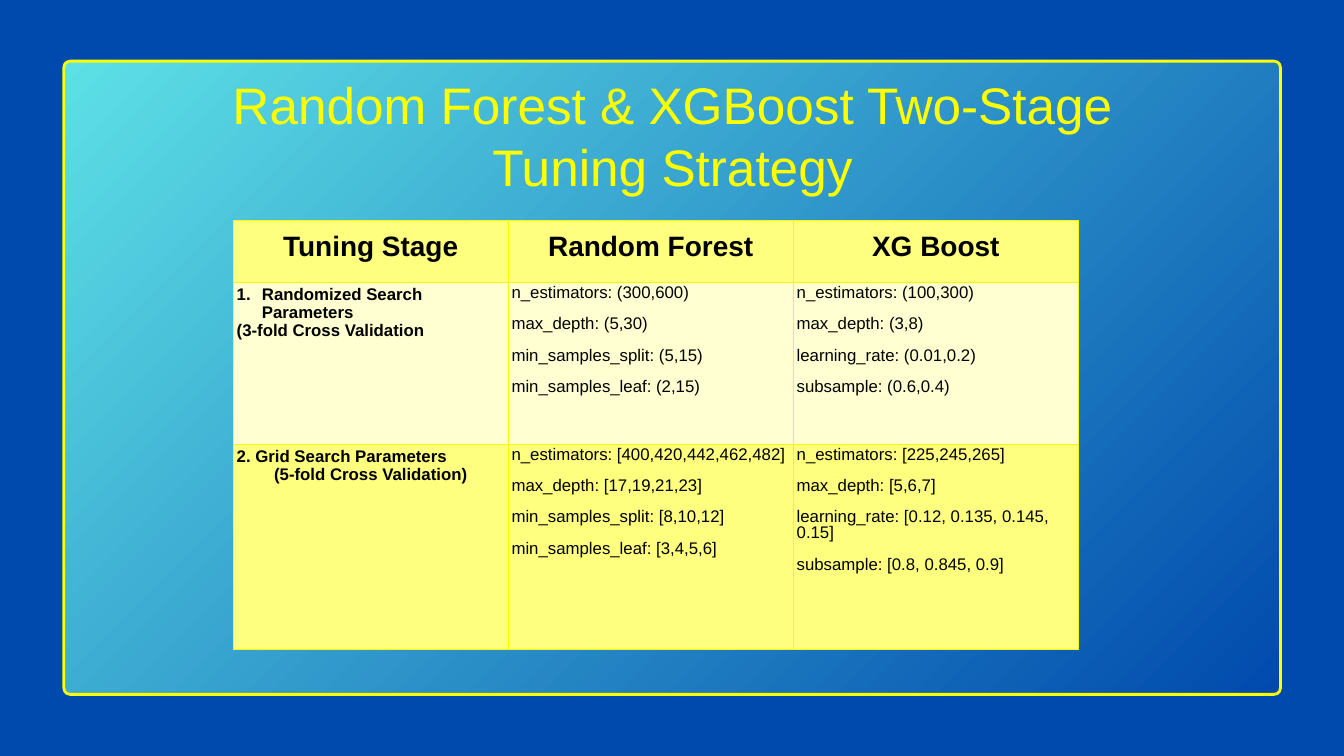
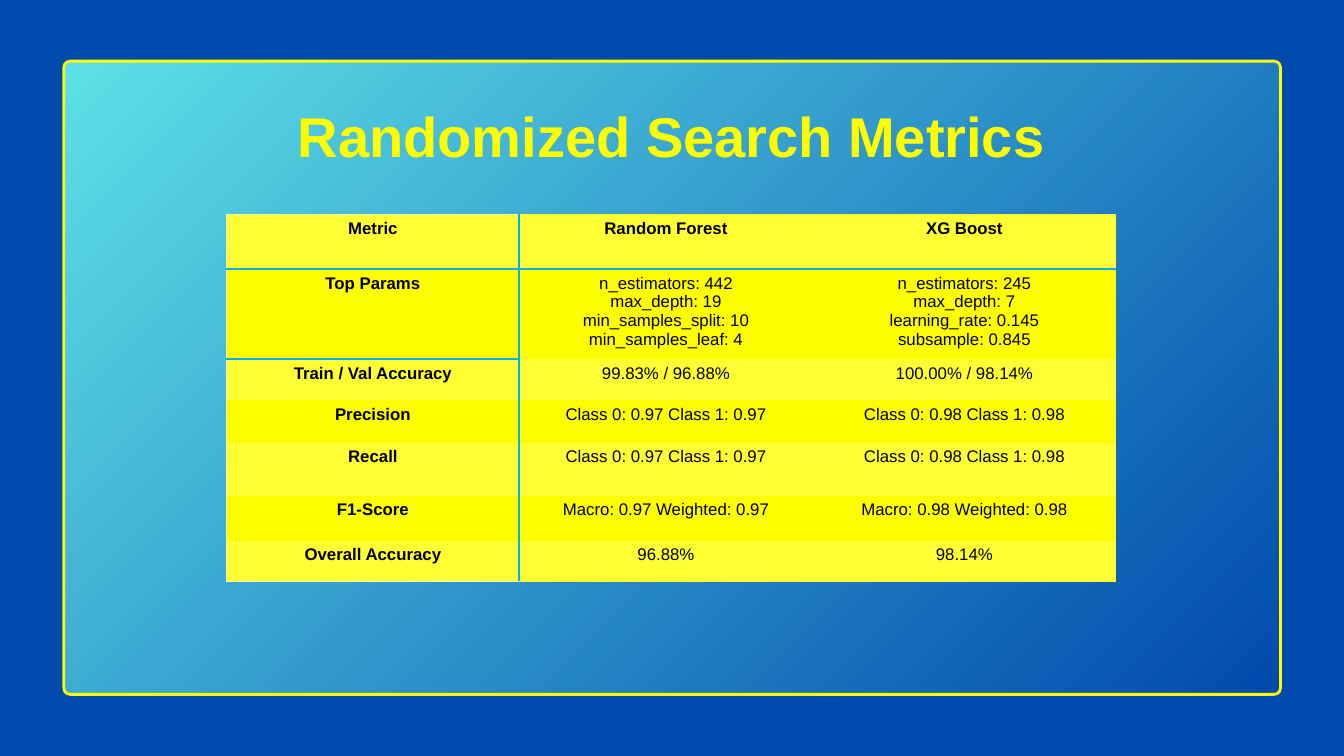
from lxml.etree import SubElement as Sub
from pptx import Presentation
from pptx.dml.color import RGBColor
from pptx.enum.shapes import MSO_SHAPE as Shape
from pptx.enum.text import MSO_ANCHOR as Anchor, PP_ALIGN as Align
from pptx.oxml.ns import qn
from pptx.util import Pt

BLUE, AQUA, YELLOW = "004AAD", "5DE0E6", "FFFE00"
PALE, CREAM, LEMON = "FFFF7F", "FFFFD2", "FFFF33"
GOLD, SKY, IVORY = ("F9F800", 0.75), ("00B0F0", 2.25), ("FBFBB7", 0.75)
FONT = "Arial"

PLAN = [
    ("n_estimators: (300,600)\nmax_depth: (5,30)\nmin_samples_split: (5,15)\nmin_samples_leaf: (2,15)",
     "n_estimators: (100,300)\nmax_depth: (3,8)\nlearning_rate: (0.01,0.2)\nsubsample: (0.6,0.4)"),
    ("n_estimators: [400,420,442,462,482]\nmax_depth: [17,19,21,23]\nmin_samples_split: [8,10,12]\nmin_samples_leaf: [3,4,5,6]",
     "n_estimators: [225,245,265]\nmax_depth: [5,6,7]\nlearning_rate: [0.12, 0.135, 0.145, 0.15]\nsubsample: [0.8, 0.845, 0.9]"),
]
SCORES = [
    ("Metric", "Random Forest", "XG Boost"),
    ("Top Params",
     "n_estimators: 442\nmax_depth: 19\nmin_samples_split: 10\nmin_samples_leaf: 4",
     "n_estimators: 245\nmax_depth: 7\nlearning_rate: 0.145\nsubsample: 0.845"),
    ("Train / Val Accuracy", "99.83% / 96.88%", "100.00% / 98.14%"),
    ("Precision", "Class 0: 0.97 Class 1: 0.97", "Class 0: 0.98 Class 1: 0.98"),
    ("Recall", "Class 0: 0.97 Class 1: 0.97", "Class 0: 0.98 Class 1: 0.98"),
    ("F1-Score", "Macro: 0.97 Weighted: 0.97", "Macro: 0.98 Weighted: 0.98"),
    ("Overall Accuracy", "96.88%", "98.14%"),
]


def tint(code):
    return RGBColor.from_string(code)


def put(frame, text, size=18, color="000000", bold=False, align=Align.LEFT,
        lead=None, gap=0, number=False):
    for line in text.split("\n"):
        first = not frame.text
        para = frame.paragraphs[0] if first else frame.add_paragraph()
        para.alignment = align
        if lead:
            para.line_spacing = Pt(lead)
        if gap and not first:
            para.space_before = Pt(gap)
        if number:
            props = para._p.get_or_add_pPr()
            props.set("marL", str(Pt(27)))
            props.set("indent", str(Pt(-27)))
            Sub(props, qn("a:buAutoNum"), type="arabicPeriod")
        run = para.add_run()
        run.text = line
        font = run.font
        font.name, font.size, font.bold = FONT, Pt(size), bold
        font.color.rgb = tint(color)


def panel(slide, left, top, width, height):
    slide.background.fill.solid()
    slide.background.fill.fore_color.rgb = tint(BLUE)
    card = slide.shapes.add_shape(Shape.ROUNDED_RECTANGLE, Pt(left), Pt(top), Pt(width), Pt(height))
    card.shadow.inherit = False
    card.adjustments[0] = 0.01
    card.fill.gradient()
    for stop, code in zip(card.fill.gradient_stops, (AQUA, BLUE)):
        stop.color.rgb = tint(code)
    grad = card._element.spPr.find(qn("a:gradFill"))
    grad.remove(grad.find(qn("a:lin")))
    glow = Sub(grad, qn("a:path"), path="circle")
    Sub(glow, qn("a:fillToRect"), l="0", t="0", r="100000", b="100000")
    card.line.color.rgb = tint(YELLOW)
    card.line.width = Pt(3)


def title(slide, text, left, top, width, height, **style):
    frame = slide.shapes.add_textbox(Pt(left), Pt(top), Pt(width), Pt(height)).text_frame
    frame.word_wrap = True
    frame.vertical_anchor = Anchor.MIDDLE
    put(frame, text, color=YELLOW, align=Align.CENTER, **style)


def grid(slide, left, top, cols, rows):
    table = slide.shapes.add_table(len(rows), len(cols), Pt(left), Pt(top),
                                   Pt(sum(cols)), Pt(sum(rows))).table
    table.first_row = table.horz_banding = False
    for col, width in zip(table.columns, cols):
        col.width = Pt(width)
    for row, height in zip(table.rows, rows):
        row.height = Pt(height)
    return table


def paint(cell, fill, pad, **edges):
    cell.margin_left = cell.margin_right = cell.margin_top = cell.margin_bottom = Pt(pad)
    props = cell._tc.get_or_add_tcPr()
    for side in "LRTB":
        edge = edges.get(side)
        line = Sub(props, qn("a:ln" + side))
        if edge:
            line.set("w", str(Pt(edge[1])))
            Sub(Sub(line, qn("a:solidFill")), qn("a:srgbClr"), val=edge[0])
        else:
            Sub(line, qn("a:noFill"))
    cell.fill.solid()
    cell.fill.fore_color.rgb = tint(fill)


def stages(slide, left, top):
    table = grid(slide, left, top, (294.5, 305.5, 305.5), (67, 173.5, 219.5))
    for r, fill in enumerate((PALE, CREAM, PALE)):
        for c in range(3):
            paint(table.cell(r, c), fill, 3.6, **dict.fromkeys("LRTB", GOLD))
    for c, head in enumerate(("Tuning Stage", "Random Forest", "XG Boost")):
        cell = table.cell(0, c)
        cell.vertical_anchor = Anchor.MIDDLE
        put(cell.text_frame, head, size=30, bold=True, align=Align.CENTER, lead=24)
    for r, texts in enumerate(PLAN, 1):
        for c, text in enumerate(texts, 1):
            put(table.cell(r, c).text_frame, text, lead=16.8, gap=16.8)
    label = dict(bold=True, lead=19.2)
    wide, fine = (table.cell(r, 0).text_frame for r in (1, 2))
    put(wide, "Randomized Search Parameters", number=True, **label)
    put(wide, "(3-fold Cross Validation", **label)
    put(fine, "2. Grid Search Parameters", **label)
    put(fine, "(5-fold Cross Validation)", align=Align.CENTER, **label)


def scores(slide, left, top):
    table = grid(slide, left, top, (314, 314, 325.5), (59, 96, 44, 45.5, 57, 48, 44))
    last = len(SCORES) - 1
    for r, texts in enumerate(SCORES):
        for c, text in enumerate(texts):
            edges = {}
            if c == 0:
                edges.update(L=IVORY, R=SKY)
                if r in (0, last):
                    edges["T" if r == 0 else "B"] = IVORY
            elif c == 1:
                edges["L"] = SKY
            if r == 0 or (r, c) == (1, 0):
                edges["B"] = SKY
            if r == 1 or (r, c) == (2, 0):
                edges["T"] = SKY
            cell = table.cell(r, c)
            paint(cell, YELLOW if r % 2 else LEMON, 5, **edges)
            put(cell.text_frame, text, bold=r == 0 or c == 0, align=Align.CENTER)


def main():
    deck = Presentation()
    deck.slide_width, deck.slide_height = Pt(1440), Pt(810)
    plan, marks = (deck.slides.add_slide(deck.slide_layouts[6]) for _ in range(2))
    for slide in (plan, marks):
        panel(slide, 68.4, 65.5, 1303.5, 678.5)
    title(plan, "Random Forest & XGBoost Two-Stage Tuning Strategy", 220.5, 86.5, 1000, 116, size=55)
    stages(plan, 250, 236)
    title(marks, "Randomized Search Metrics", 141, 86.5, 1156.5, 116, size=60, bold=True)
    scores(marks, 242.5, 229.5)
    deck.save("out.pptx")


if __name__ == "__main__":
    main()
